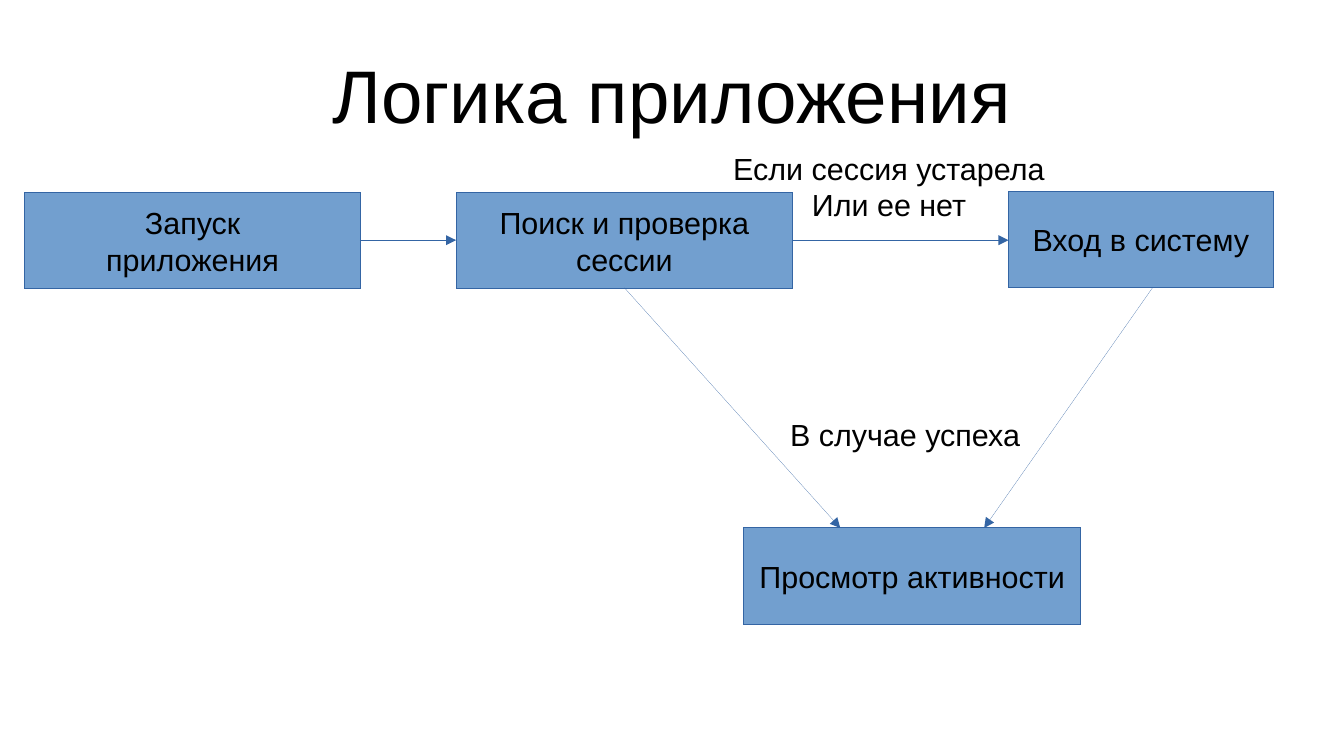
"""Build the application logic flowchart slide."""
from lxml import etree
from pptx import Presentation
from pptx.dml.color import RGBColor
from pptx.enum.shapes import MSO_CONNECTOR, MSO_SHAPE
from pptx.enum.text import MSO_ANCHOR, PP_ALIGN
from pptx.oxml.ns import qn
from pptx.util import Inches, Pt

FILL, LINE, INK = "729FCF", "3465A4", "000000"


def write(frame, text, size=18, align=PP_ALIGN.CENTER, anchor=MSO_ANCHOR.MIDDLE,
          wrap=True, margins=(0.1, 0.05)):
    frame.text = text
    frame.word_wrap = wrap
    frame.vertical_anchor = anchor
    frame.margin_left = frame.margin_right = Inches(margins[0])
    frame.margin_top = frame.margin_bottom = Inches(margins[1])
    for paragraph in frame.paragraphs:
        paragraph.alignment = align
        paragraph.font.size = Pt(size)
        paragraph.font.name = "Arial"
        paragraph.font.color.rgb = RGBColor.from_string(INK)


def draw_hairline(line):
    line.color.rgb = RGBColor.from_string(LINE)
    outline = line._get_or_add_ln()
    outline.set("w", "0")
    return outline


presentation = Presentation()
presentation.slide_width = Inches(11.02)
presentation.slide_height = Inches(6.2)
slide = presentation.slides.add_slide(presentation.slide_layouts[6])
shapes = slide.shapes

title = shapes.add_textbox(Inches(0.55), Inches(0.25), Inches(9.92), Inches(1.04))
write(title.text_frame, "Логика приложения", size=44, margins=(0, 0))

steps = [
    ("Поиск и проверка сессии", 3.74, 1.58, 2.76),
    ("Запуск\nприложения", 0.2, 1.58, 2.76),
    ("Вход в систему", 8.27, 1.57, 2.17),
    ("Просмотр активности", 6.1, 4.33, 2.76),
]
for text, left, top, width in steps:
    step = shapes.add_shape(MSO_SHAPE.RECTANGLE, Inches(left), Inches(top),
                            Inches(width), Inches(0.79))
    step.shadow.inherit = False
    step.fill.solid()
    step.fill.fore_color.rgb = RGBColor.from_string(FILL)
    draw_hairline(step.line)
    write(step.text_frame, text)

transitions = [
    (2.95, 1.97, 3.74, 1.97),
    (6.5, 1.97, 8.27, 1.97),
    (5.12, 2.36, 6.89, 4.33),
    (9.45, 2.36, 8.07, 4.33),
]
for ends in transitions:
    arrow = shapes.add_connector(MSO_CONNECTOR.STRAIGHT, *map(Inches, ends))
    outline = draw_hairline(arrow.line)
    etree.SubElement(outline, qn("a:tailEnd"), type="triangle")
    etree.SubElement(arrow._element.spPr, qn("a:effectLst"))

conditions = [
    ("В случае успеха", 6.38, 3.36, 2.09, 0.38, PP_ALIGN.LEFT),
    ("Если сессия устарела\nИли ее нет", 5.79, 1.18, 3, 0.66, PP_ALIGN.CENTER),
]
for text, left, top, width, height, align in conditions:
    condition = shapes.add_textbox(Inches(left), Inches(top), Inches(width), Inches(height))
    write(condition.text_frame, text, align=align, anchor=MSO_ANCHOR.TOP, wrap=False)

presentation.save("out.pptx")
